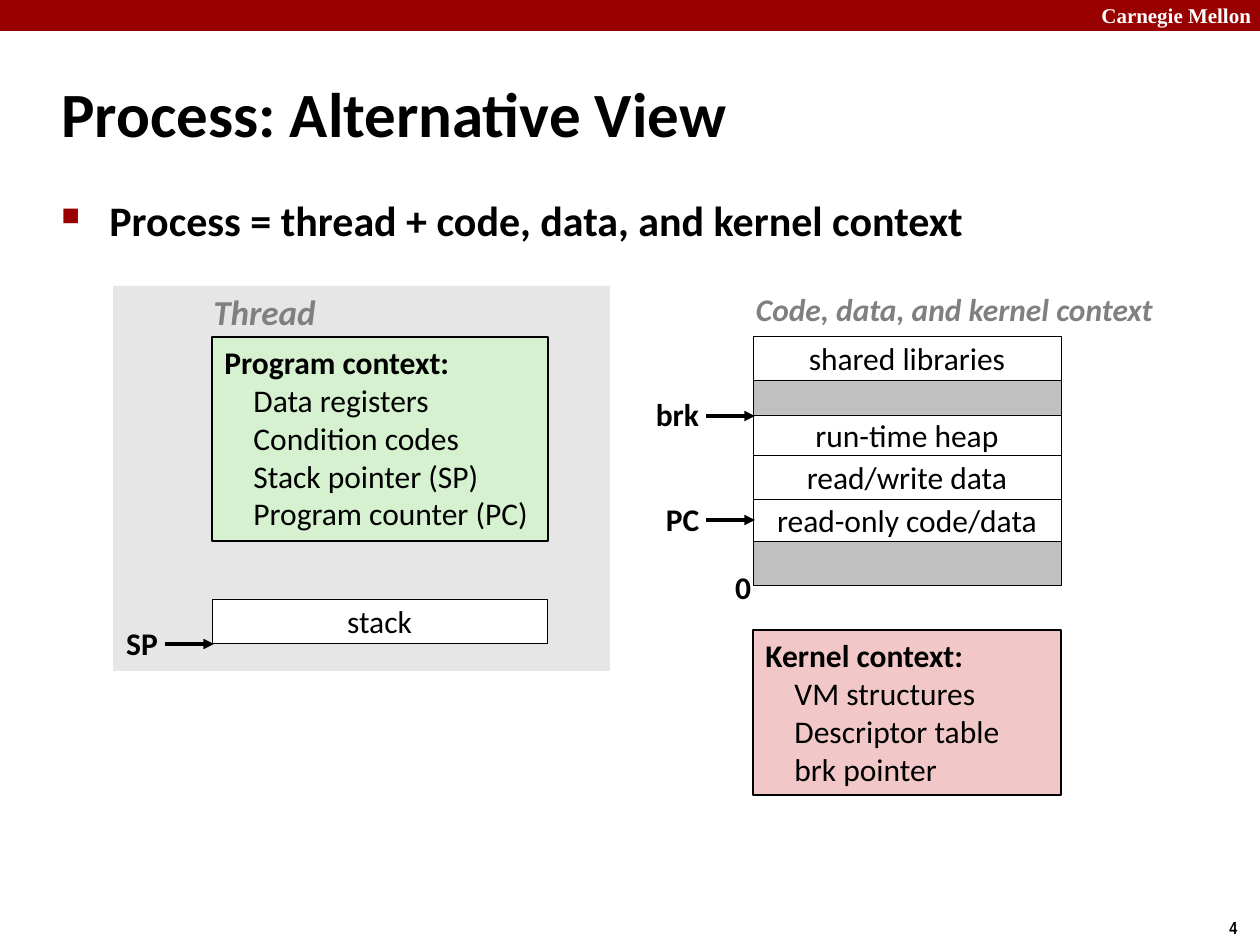
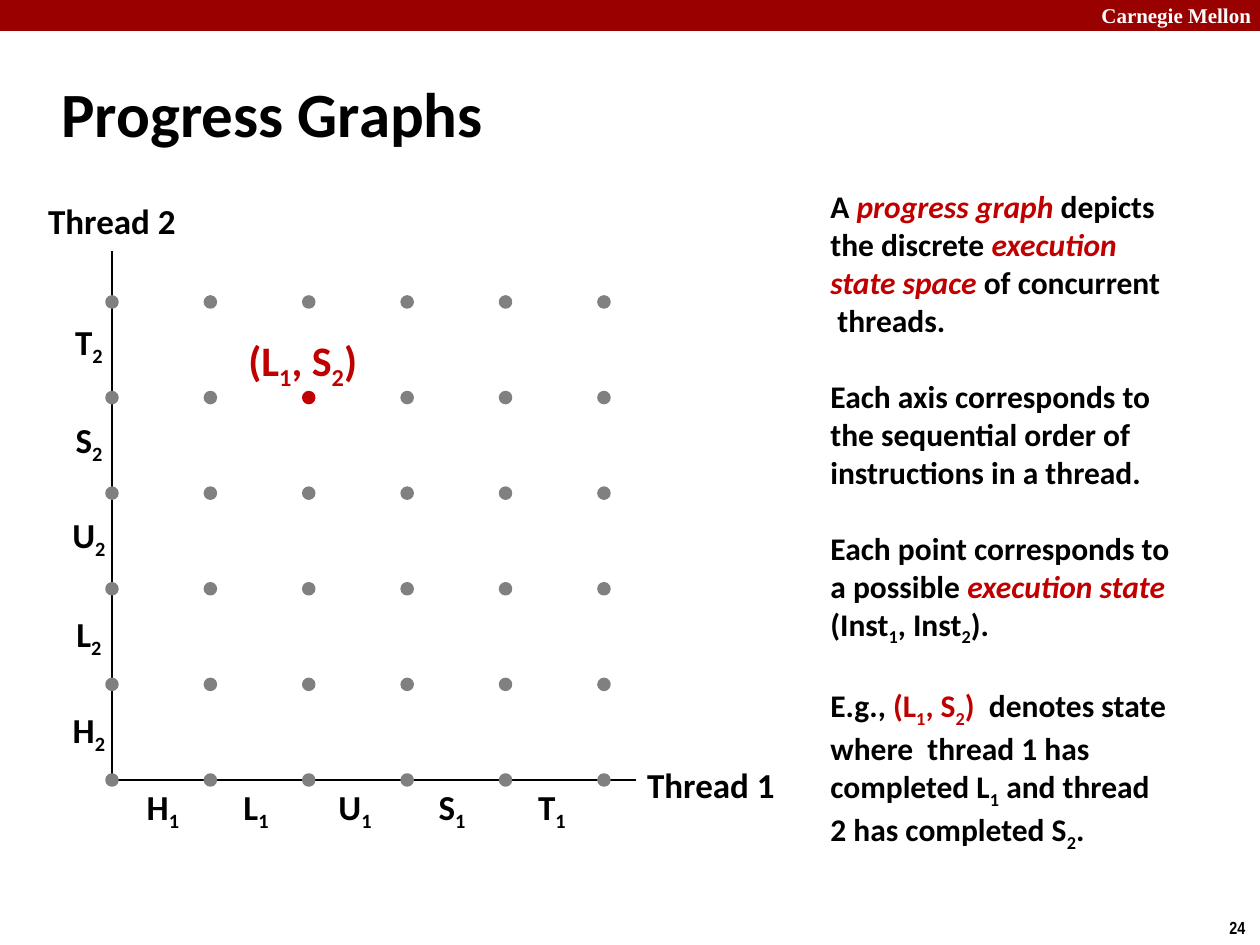
from lxml import etree
from pptx import Presentation
from pptx.dml.color import RGBColor
from pptx.enum.shapes import MSO_CONNECTOR, MSO_SHAPE
from pptx.enum.text import MSO_ANCHOR, MSO_AUTO_SIZE, PP_ALIGN
from pptx.oxml.ns import qn
from pptx.util import Emu, Pt

PX_PER_INCH = 126
COLOURS = {
    "band": "990000", "white": "FFFFFF", "black": "000000", "grey": "808080",
    "panel": "E6E6E6", "gap": "C0C0C0", "program": "D5F1CF",
    "kernel": "F1C7C7", "red": "C00000",
}

# Process view
BULLET = "Process = thread + code, data, and kernel context"
THREAD_PANEL = (113, 286, 497, 385)
MEMORY_LEFT, MEMORY_TOP, MEMORY_WIDTH = 753, 336, 308
MEMORY_REGIONS = [  # text, height
    ("shared libraries", 44), ("", 35), ("run-time heap", 40),
    ("read/write data", 44), ("read-only code/data", 42), ("", 44),
]
STACK_BOX = (212, 599, 335, 44)
CONTEXT_BOXES = [
    ((212, 337, 336, 204), "program",
     ["Program context:", "Data registers", "Condition codes",
      "Stack pointer (SP)", "Program counter (PC)"]),
    ((753, 630, 308, 165), "kernel",
     ["Kernel context:", "VM structures", "Descriptor table", "brk pointer"]),
]
HEADINGS = [  # text, box, size
    ("Thread", (200, 284, 129, 55), 20),
    ("Code, data, and kernel context", (741, 284, 427, 50), 18),
]
POINTER_LABELS = [
    ("SP", (113, 618, 58, 50)), ("PC", (653, 494, 59, 50)),
    ("brk", (643, 389, 69, 50)), ("0", (722, 562, 42, 50)),
]
POINTER_ARROWS = [(165, 644), (706, 520), (706, 416)]  # left, y
ARROW_LENGTH = 49

# Progress graph
ORIGIN = (112, 780)
AXIS_ENDS = [(636, 780), (112, 251)]
AXIS_NAMES = [("Thread 1", (634, 757, 154, 55)), ("Thread 2", (35, 193, 154, 55))]
STEPS = 5
GRID_WIDTH, GRID_HEIGHT = 492, 478
DOT = 10
MARKED_STATE = (2, 4)
STATE_LABEL = ("(L_1, S_2)", (236, 328, 149, 63))
THREAD_1_STEPS = [("H", 163), ("L", 256), ("U", 355), ("S", 452), ("T", 552)]
THREAD_2_STEPS = [("H", 732), ("L", 636), ("U", 537), ("S", 442), ("T", 344)]
STEP_LABEL = (60, 55)
STEP_ROW_Y, STEP_COLUMN_X = 809, 89

# Paragraphs of lines of runs; a run is a text or (text, italic) in red
EXPLANATION = [
    [["A ", ("progress graph ", True), "depicts"],
     ["the discrete ", ("execution", True)],
     [("state space", True), " of concurrent"],
     [" threads."]],
    [["Each axis corresponds to"],
     ["the sequential order of"],
     ["instructions in a thread."]],
    [["Each point corresponds to"],
     ["a possible ", ("execution state", True)],
     ["(Inst_1, Inst_2)."]],
    [["E.g., ", ("(L_1, S_2)  ", False), "denotes state"],
     ["where  thread 1 has"],
     ["completed L_1 and thread"],
     ["2 has completed S_2."]],
]
EXPLANATION_BOX = (818, 189, 367, 662)


def px(value):
    return Emu(round(value * 914400 / PX_PER_INCH))


def rgb(name):
    return RGBColor.from_string(COLOURS[name])


def add_runs(paragraph, text, red=False, italic=False):
    """Add text in which each underscore lowers the character after it."""
    first, *lowered = text.split("_")
    pieces = [(first, False)]
    for part in lowered:
        pieces += [(part[0], True), (part[1:], False)]
    for piece, is_subscript in pieces:
        if not piece:
            continue
        run = paragraph.add_run()
        run.text = piece
        if red:
            run.font.color.rgb = rgb("red")
        if italic:
            run.font.italic = True
        if is_subscript:
            run.font._element.set("baseline", "-25000")


def set_font(paragraph, size, colour="black", bold=False, italic=False, name="Calibri"):
    font = paragraph.font
    font.size, font.bold, font.italic, font.name = Pt(size), bold, italic, name
    font.color.rgb = rgb(colour)


def add_text(slide, text, box, size, colour="black", italic=False, name="Calibri",
             align=PP_ALIGN.LEFT, anchor=MSO_ANCHOR.TOP, wrap=False):
    """Add a bold one-paragraph text box and return its paragraph."""
    frame = slide.shapes.add_textbox(*map(px, box)).text_frame
    frame.word_wrap = wrap
    frame.vertical_anchor = anchor
    if not wrap:
        frame.auto_size = MSO_AUTO_SIZE.SHAPE_TO_FIT_TEXT
    paragraph = frame.paragraphs[0]
    paragraph.alignment = align
    add_runs(paragraph, text)
    set_font(paragraph, size, colour, True, italic, name)
    return paragraph


def add_label(slide, text, box, size, **style):
    add_text(slide, text, box, size, align=PP_ALIGN.CENTER,
             anchor=MSO_ANCHOR.MIDDLE, **style)


def add_box(shapes, box, fill, line=None, width=0.25, kind=MSO_SHAPE.RECTANGLE):
    shape = shapes.add_shape(kind, *map(px, box))
    shape.shadow.inherit = False
    shape.fill.solid()
    shape.fill.fore_color.rgb = rgb(fill)
    if line:
        shape.line.color.rgb = rgb(line)
        shape.line.width = Pt(width)
    else:
        shape.line.fill.background()
    return shape


def add_region(slide, text, box):
    shape = add_box(slide.shapes, box, "white" if text else "gap", "black")
    if text:
        frame = shape.text_frame
        frame.word_wrap = False
        frame.vertical_anchor = MSO_ANCHOR.MIDDLE
        paragraph = frame.paragraphs[0]
        paragraph.alignment = PP_ALIGN.CENTER
        add_runs(paragraph, text)
        set_font(paragraph, 18)


def add_context(slide, box, fill, lines):
    frame = add_box(slide.shapes, box, fill, "black", 1.5).text_frame
    frame.word_wrap = True
    frame.vertical_anchor = MSO_ANCHOR.TOP
    for index, line in enumerate(lines):
        paragraph = frame.add_paragraph() if index else frame.paragraphs[0]
        paragraph.alignment = PP_ALIGN.LEFT
        if index:
            paragraph._p.get_or_add_pPr().set("marL", str(px(29)))
        add_runs(paragraph, line)
        set_font(paragraph, 18, bold=index == 0)


def add_line(slide, start, end, width, arrow=False):
    line = slide.shapes.add_connector(MSO_CONNECTOR.STRAIGHT, *map(px, start + end))
    line.line.color.rgb = rgb("black")
    line.line.width = Pt(width)
    if arrow:
        etree.SubElement(line.line._get_or_add_ln(), qn("a:tailEnd"), type="triangle")
    etree.SubElement(line._element.spPr, qn("a:effectLst"))


def add_bullet(paragraph):
    properties = paragraph._p.get_or_add_pPr()
    properties.set("marL", str(px(48)))
    properties.set("indent", str(-px(48)))
    colour = etree.SubElement(properties, qn("a:buClr"))
    etree.SubElement(colour, qn("a:srgbClr"), val=COLOURS["band"])
    etree.SubElement(properties, qn("a:buSzPct"), val="60000")
    etree.SubElement(properties, qn("a:buChar"), char="■")


def add_slide(presentation, title, number):
    slide = presentation.slides.add_slide(presentation.slide_layouts[6])
    add_box(slide.shapes, (0, 0, 1260, 31), "band")
    add_text(slide, "Carnegie Mellon", (1089, -4, 180, 38), 12, "white",
             name="Times New Roman", wrap=True)
    add_text(slide, number, (1217, 911, 43, 34), 10, name="Arial Narrow")
    add_text(slide, title, (49, 60, 1046, 105), 36,
             anchor=MSO_ANCHOR.MIDDLE, wrap=True)
    return slide


def build_process_view(presentation):
    slide = add_slide(presentation, "Process: Alternative View", "4")
    add_box(slide.shapes, THREAD_PANEL, "panel")

    bullet = add_text(slide, "", (49, 188, 1089, 64), 24, wrap=True)
    bullet._p.remove(bullet._p.pPr)
    add_bullet(bullet)
    add_runs(bullet, BULLET)
    set_font(bullet, 24, bold=True)

    top = MEMORY_TOP
    for text, height in MEMORY_REGIONS:
        add_region(slide, text, (MEMORY_LEFT, top, MEMORY_WIDTH, height))
        top += height
    add_region(slide, "stack", STACK_BOX)
    for box, fill, lines in CONTEXT_BOXES:
        add_context(slide, box, fill, lines)
    for text, box, size in HEADINGS:
        add_label(slide, text, box, size, colour="grey", italic=True)
    for text, box in POINTER_LABELS:
        add_label(slide, text, box, 18)
    for left, y in POINTER_ARROWS:
        add_line(slide, (left, y), (left + ARROW_LENGTH, y), 2, arrow=True)


def add_explanation(slide):
    frame = slide.shapes.add_textbox(*map(px, EXPLANATION_BOX)).text_frame
    frame.word_wrap = False
    frame.auto_size = MSO_AUTO_SIZE.SHAPE_TO_FIT_TEXT
    frame.vertical_anchor = MSO_ANCHOR.MIDDLE
    for index, lines in enumerate(EXPLANATION):
        paragraph = frame.add_paragraph() if index else frame.paragraphs[0]
        if index:
            paragraph.space_before = Pt(22)
        for line_index, runs in enumerate(lines):
            if line_index:
                paragraph.add_line_break()
            for run in runs:
                if isinstance(run, str):
                    add_runs(paragraph, run)
                else:
                    add_runs(paragraph, run[0], red=True, italic=run[1])
        set_font(paragraph, 18, bold=True)


def add_state_grid(slide):
    left, bottom = ORIGIN
    for column in range(STEPS + 1):
        group = slide.shapes.add_group_shape()
        for row in range(STEPS + 1):
            x = left + column * GRID_WIDTH / STEPS - DOT / 2
            y = bottom - row * GRID_HEIGHT / STEPS - DOT / 2
            colour = "red" if (column, row) == MARKED_STATE else "grey"
            add_box(group.shapes, (x, y, DOT, DOT), colour, colour, 2, MSO_SHAPE.OVAL)


def build_progress_graph(presentation):
    slide = add_slide(presentation, "Progress Graphs", "24")
    add_explanation(slide)
    for end in AXIS_ENDS:
        add_line(slide, ORIGIN, end, 1)
    for text, box in AXIS_NAMES:
        add_label(slide, text, box, 20)
    centres = [(f"{step}_1", x, STEP_ROW_Y) for step, x in THREAD_1_STEPS]
    centres += [(f"{step}_2", STEP_COLUMN_X, y) for step, y in THREAD_2_STEPS]
    width, height = STEP_LABEL
    for text, x, y in centres:
        add_label(slide, text, (x - width / 2, y - height / 2, width, height), 20)
    add_state_grid(slide)
    add_text(slide, *STATE_LABEL, 24, "red")


def main():
    presentation = Presentation()
    presentation.slide_width, presentation.slide_height = px(1260), px(945)
    build_process_view(presentation)
    build_progress_graph(presentation)
    presentation.save("out.pptx")


if __name__ == "__main__":
    main()
